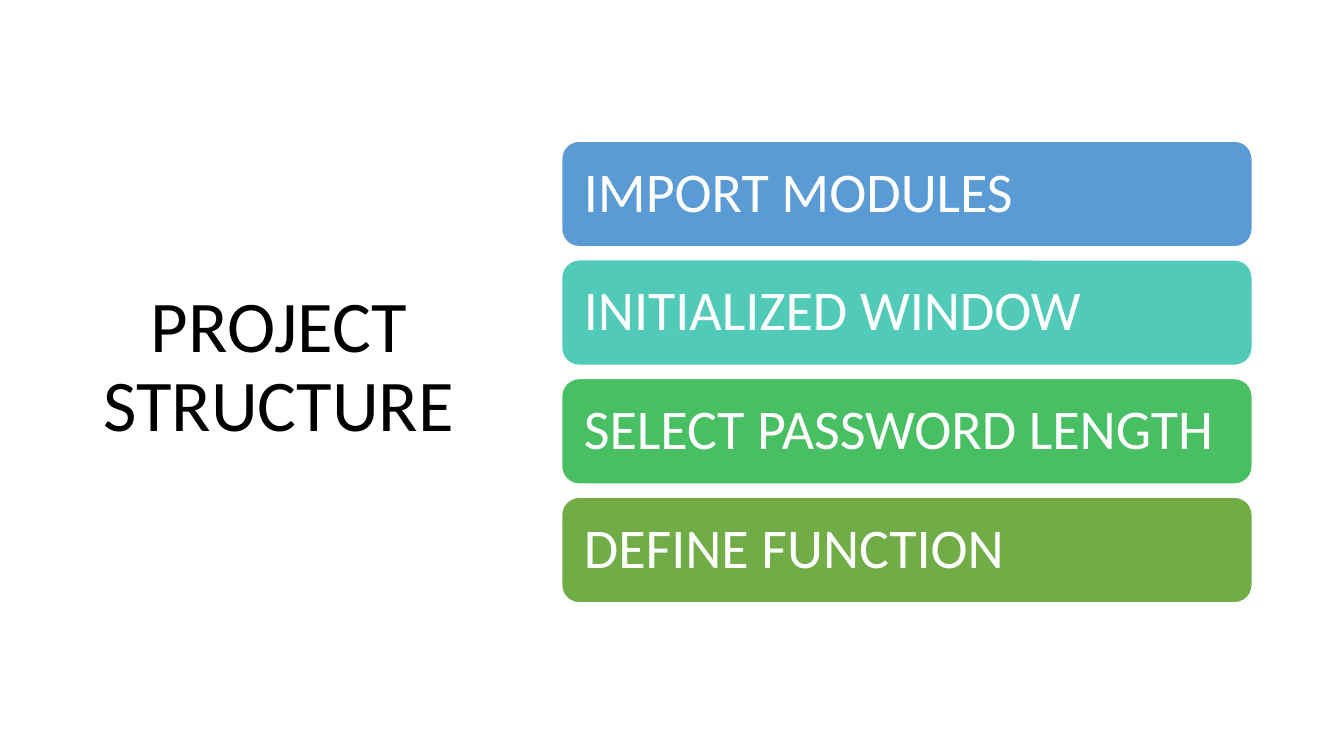
"""Build the project structure slide."""
import pptx
import pptx.dml.color
import pptx.enum.shapes
import pptx.enum.text
import pptx.util

Inches = pptx.util.Inches
COLORS = {
    "title": "000000",
    "white": "FFFFFF",
    "blue": "5B9BD5",
    "teal": "52CAB8",
    "green": "49BF64",
    "olive": "70AD47",
}
STEPS = [
    ("IMPORT MODULES", "blue"),
    ("INITIALIZED WINDOW", "teal"),
    ("SELECT PASSWORD LENGTH", "green"),
    ("DEFINE FUNCTION", "olive"),
]


def rgb(name):
    """Return the named colour."""
    return pptx.dml.color.RGBColor.from_string(COLORS[name])


def write(frame, text, size, color, align):
    """Put one vertically centred paragraph into a text frame."""
    frame.text = text
    frame.word_wrap = True
    frame.auto_size = pptx.enum.text.MSO_AUTO_SIZE.NONE
    frame.vertical_anchor = pptx.enum.text.MSO_ANCHOR.MIDDLE
    paragraph = frame.paragraphs[0]
    paragraph.alignment = align
    paragraph.line_spacing = 0.9
    font = paragraph.runs[0].font
    font.name = "Calibri"
    font.size = pptx.util.Pt(size)
    font.color.rgb = rgb(color)


def add_heading(slide, left, top, width, height):
    """Place the slide title in the given box."""
    heading = slide.shapes.title
    heading.left, heading.top = Inches(left), Inches(top)
    heading.width, heading.height = Inches(width), Inches(height)
    write(heading.text_frame, "PROJECT STRUCTURE", 52, "title",
          pptx.enum.text.PP_ALIGN.CENTER)
    heading.text_frame.paragraphs[0].space_after = pptx.util.Pt(6)


def add_steps(slide, left, top, width, height, gap=0.13):
    """Stack the project steps evenly in the given box."""
    bar_height = (height - gap * (len(STEPS) - 1)) / len(STEPS)
    for index, (label, color) in enumerate(STEPS):
        bar_top = top + index * (bar_height + gap)
        step = slide.shapes.add_shape(
            pptx.enum.shapes.MSO_SHAPE.ROUNDED_RECTANGLE,
            Inches(left), Inches(bar_top), Inches(width), Inches(bar_height))
        step.shadow.inherit = False
        step.fill.solid()
        step.fill.fore_color.rgb = rgb(color)
        step.line.color.rgb = rgb("white")
        step.line.width = pptx.util.Pt(1)
        frame = step.text_frame
        frame.margin_left = frame.margin_right = Inches(0.17)
        frame.margin_top = frame.margin_bottom = Inches(0.17)
        write(frame, label, 40, "white", pptx.enum.text.PP_ALIGN.LEFT)


def main():
    """Create and save the presentation."""
    deck = pptx.Presentation()
    deck.slide_width, deck.slide_height = Inches(13.33), Inches(7.5)
    slide = deck.slides.add_slide(deck.slide_layouts.get_by_name("Title Only"))
    add_heading(slide, 0.92, 0.61, 3.69, 6.09)
    add_steps(slide, 5.57, 1.4, 6.85, 4.58)
    deck.save("out.pptx")


main()
